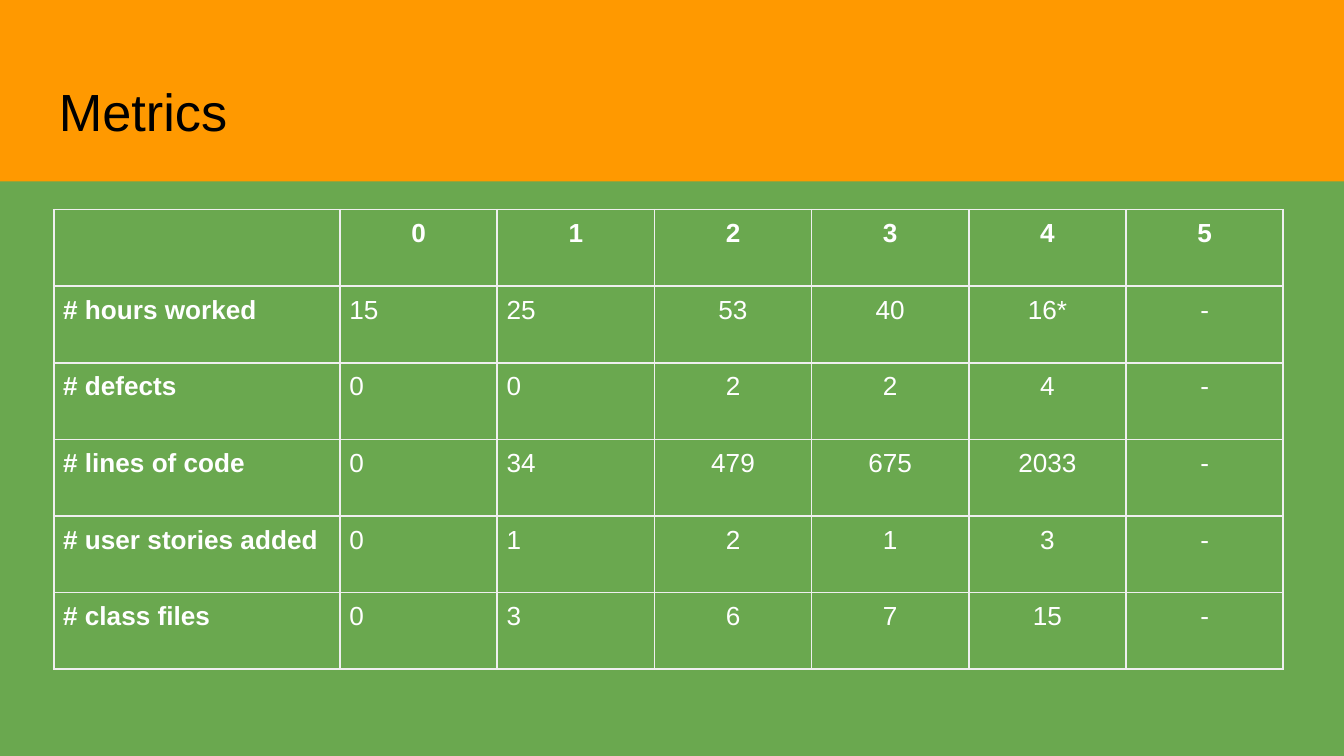
import pptx
import pptx.dml.color
import pptx.enum.shapes
import pptx.enum.text
import pptx.oxml
import pptx.oxml.ns
import pptx.util
from dataclasses import dataclass
from pptx.util import Inches


@dataclass(frozen=True)
class Theme:
    font: str = "Arial"
    background: str = "6AA84F"
    band: str = "FF9900"
    title: str = "000000"
    text: str = "FFFFFF"
    border: str = "EFEFEF"
    title_size: int = 28
    cell_size: int = 14
    border_width: int = 1


theme = Theme()
rgb = pptx.dml.color.RGBColor.from_string


def set_font(p, size, color, bold=False):
    p.font.name = theme.font
    p.font.size = pptx.util.Pt(size)
    p.font.color.rgb = rgb(color)
    p.font.bold = bold


def add_borders(cell):
    tcPr = cell._tc.get_or_add_tcPr()
    for i, side in enumerate(("lnL", "lnR", "lnT", "lnB")):
        ln = pptx.oxml.parse_xml(
            f'<a:{side} {pptx.oxml.ns.nsdecls("a")} w="{pptx.util.Pt(theme.border_width)}">'
            f'<a:solidFill><a:srgbClr val="{theme.border}"/></a:solidFill></a:{side}>')
        tcPr.insert(i, ln)


# A 16:9 slide
prs = pptx.Presentation()
prs.slide_width, prs.slide_height = Inches(10), Inches(10 * 9 / 16)
s = prs.slides.add_slide(prs.slide_layouts[6])
s.background.fill.solid()
s.background.fill.fore_color.rgb = rgb(theme.background)

# Title band
band = s.shapes.add_shape(pptx.enum.shapes.MSO_SHAPE.RECTANGLE,
                          0, 0, prs.slide_width, Inches(1.35))
band.shadow.inherit = False
band.fill.solid()
band.fill.fore_color.rgb = rgb(theme.band)
band.line.fill.background()

# Title
title = s.shapes.add_textbox(Inches(0.34), Inches(0.51), Inches(9.32), Inches(0.63))
tf = title.text_frame
tf.word_wrap = True
tf.vertical_anchor = pptx.enum.text.MSO_ANCHOR.MIDDLE
tf.margin_left = tf.margin_right = tf.margin_top = tf.margin_bottom = Inches(0.1)
tf.text = "Metrics"
set_font(tf.paragraphs[0], theme.title_size, theme.title)

# Metrics per iteration
rows = [
    ["", "0", "1", "2", "3", "4", "5"],
    ["# hours worked", "15", "25", "53", "40", "16*", "-"],
    ["# defects", "0", "0", "2", "2", "4", "-"],
    ["# lines of code", "0", "34", "479", "675", "2033", "-"],
    ["# user stories added", "0", "1", "2", "1", "3", "-"],
    ["# class files", "0", "3", "6", "7", "15", "-"],
]
widths = [2.13] + [1.17] * 6
row_height = 0.57
frame = s.shapes.add_table(len(rows), len(widths), Inches(0.4), Inches(1.56),
                           Inches(sum(widths)), Inches(row_height * len(rows)))
table = frame.table
table.first_row = table.horz_banding = False
for column, width in zip(table.columns, widths):
    column.width = Inches(width)

for i, row in enumerate(rows):
    for j, value in enumerate(row):
        cell = table.cell(i, j)
        cell.text = value
        cell.margin_left = cell.margin_right = Inches(0.07)
        cell.margin_top = cell.margin_bottom = Inches(0.07)
        cell.fill.background()
        add_borders(cell)
        p = cell.text_frame.paragraphs[0]
        set_font(p, theme.cell_size, theme.text, bold=i == 0 or j == 0)
        # The header row and the later iterations are centred
        if i == 0 or j > 2:
            p.alignment = pptx.enum.text.PP_ALIGN.CENTER

prs.save("out.pptx")
